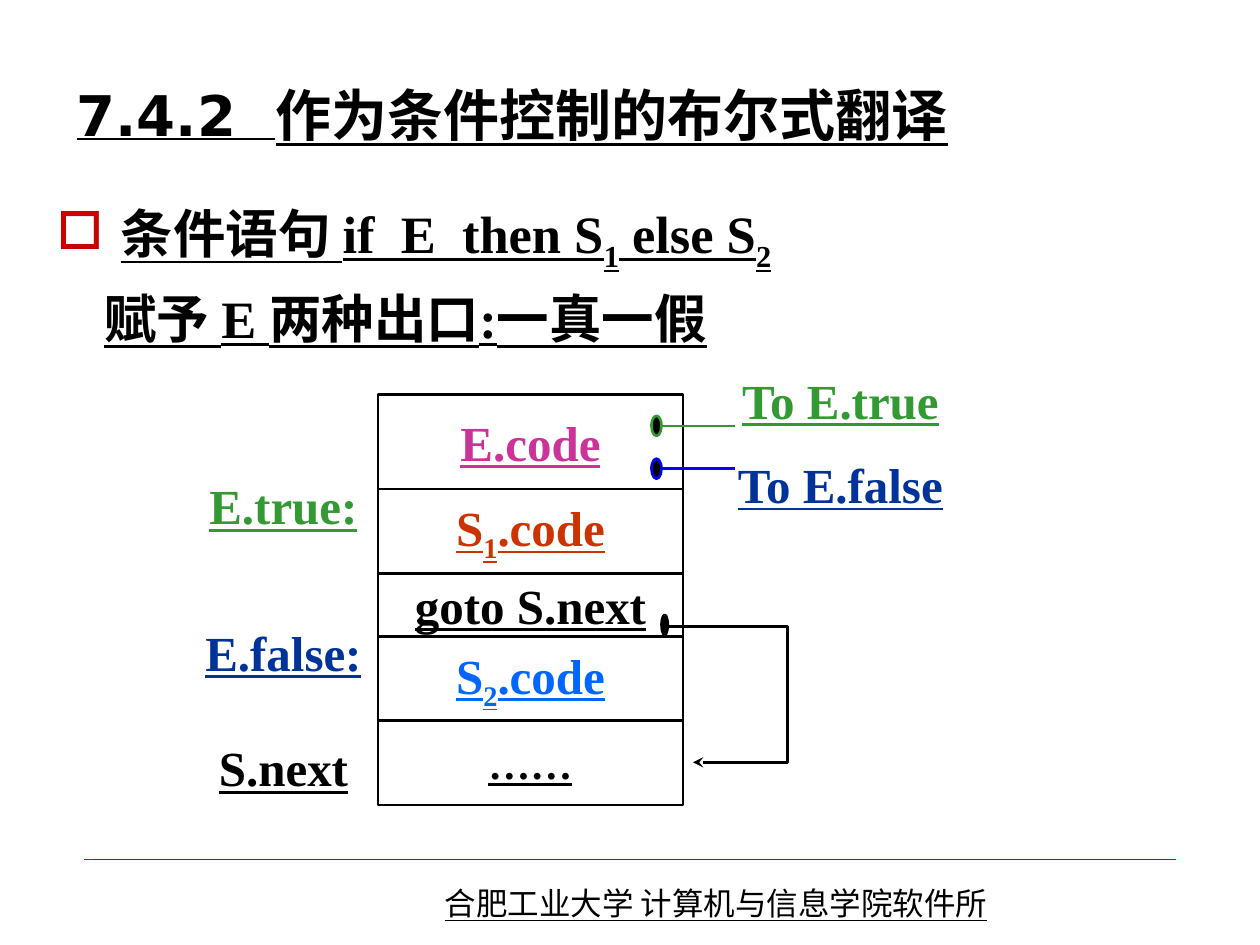
from lxml import etree
from pptx import Presentation
from pptx.dml.color import RGBColor
from pptx.enum.shapes import MSO_CONNECTOR, MSO_SHAPE
from pptx.enum.text import MSO_ANCHOR, MSO_AUTO_SIZE, PP_ALIGN
from pptx.oxml.ns import qn
from pptx.util import Inches, Pt

LINE = MSO_CONNECTOR.STRAIGHT
RECT, OVAL = MSO_SHAPE.RECTANGLE, MSO_SHAPE.OVAL
TOP, MID = MSO_ANCHOR.TOP, MSO_ANCHOR.MIDDLE
LEFT, CENTER, JUST = PP_ALIGN.LEFT, PP_ALIGN.CENTER, PP_ALIGN.JUSTIFY
FIXED = MSO_AUTO_SIZE.NONE

COLORS = {
    "black": "000000", "red": "CC0000", "pink": "CC3399", "rust": "CC3300",
    "sky": "0066FF", "green": "339933", "navy": "003399", "blue": "0000FF",
}


class Deck:
    """Holds the style and the current slide."""

    serif, sans, cjk = "Times New Roman", "DejaVu Sans", "Noto Sans CJK SC"

    def __init__(self, slide):
        self.slide = slide
        self.shapes = slide.shapes

    def color(self, name):
        return RGBColor.from_string(COLORS[name])

    def box(self, *area):
        return [Inches(v) for v in area]

    def stroke(self, shape, color, width=1.5):
        shape.line.color.rgb = self.color(color)
        shape.line.width = Pt(width)

    def frame(self, shape, anchor=MID, wrap=True):
        frame = shape.text_frame
        frame.word_wrap = wrap
        frame.auto_size = FIXED
        frame.vertical_anchor = anchor
        return frame

    def put(self, para, text, size, color="black", face=serif, bold=True, align=CENTER):
        for i, part in enumerate(text.split("_")):
            if part:
                run = para.add_run()
                run.text = part
                if i % 2:
                    run._r.get_or_add_rPr().set("baseline", "-25000")
        para.alignment = align
        font = para.font
        font.size, font.name = Pt(size), face
        font.bold, font.underline = bold, True
        font.color.rgb = self.color(color)

    def title(self, text, *area):
        shape = self.shapes.title
        shape.left, shape.top, shape.width, shape.height = self.box(*area)
        para = self.frame(shape).paragraphs[0]
        self.put(para, text, 32, face=self.sans, align=LEFT)

    def label(self, text, *area, color="black", size=28, **style):
        shape = self.shapes.add_textbox(*self.box(*area))
        para = self.frame(shape, wrap=False).paragraphs[0]
        self.put(para, text, size, color, **style)

    def body(self, lead, rest, *area):
        frame = self.frame(self.shapes.add_textbox(*self.box(*area)), TOP)
        first, second = frame.paragraphs[0], frame.add_paragraph()
        props = first._p.get_or_add_pPr()
        props.set("marL", str(Inches(0.51)))
        props.set("indent", str(-Inches(0.51)))
        tint = etree.SubElement(props, qn("a:buClr"))
        etree.SubElement(tint, qn("a:srgbClr"), val=COLORS["red"])
        etree.SubElement(props, qn("a:buChar"), char="□")
        second._p.get_or_add_pPr().set("marL", str(Inches(0.38)))
        second.space_before = Pt(7.6)
        for para, text in ((first, lead), (second, rest)):
            self.put(para, text, 30, align=JUST)

    def cell(self, text, *area, color="black", size=28):
        shape = self.shapes.add_shape(RECT, *self.box(*area))
        shape.shadow.inherit = False
        shape.fill.background()
        self.stroke(shape, color="black")
        para = self.frame(shape, wrap=False).paragraphs[0]
        self.put(para, text, size, color)

    def rule(self, x1, y1, x2, y2, color, width=1.5):
        line = self.shapes.add_connector(LINE, *self.box(x1, y1, x2, y2))
        self.stroke(line, color, width)
        etree.SubElement(line._element.spPr, qn("a:effectLst"))

    def dot(self, *area, color="black"):
        shape = self.shapes.add_shape(OVAL, *self.box(*area))
        shape.shadow.inherit = False
        shape.fill.solid()
        shape.fill.fore_color.rgb = self.color("black")
        self.stroke(shape, color)

    def route(self, points):
        start, *rest = [tuple(self.box(*point)) for point in points]
        pen = self.shapes.build_freeform(*start)
        pen.add_line_segments(rest, close=False)
        shape = pen.convert_to_shape()
        shape.shadow.inherit = False
        shape.fill.background()
        self.stroke(shape, "black")
        etree.SubElement(shape.line._get_or_add_ln(), qn("a:tailEnd"), type="stealth")


def main():
    prs = Presentation()
    prs.slide_width, prs.slide_height = Inches(10), Inches(7.5)
    deck = Deck(prs.slides.add_slide(prs.slide_layouts[5]))

    deck.rule(0.67, 6.82, 9.33, 6.82, "red", 0.25)
    deck.label("合肥工业大学 计算机与信息学院软件所", 3.43, 6.97, 5.04, 0.4,
               size=18, face=deck.cjk, bold=False, align=LEFT)
    deck.title("7.4.2  作为条件控制的布尔式翻译", 0.51, 0.28, 8.67, 1.25)
    deck.body("条件语句 if  E  then S_1_ else S_2", "赋予 E 两种出口:一真一假",
              0.35, 1.55, 8.65, 1.42)

    top = 3.13
    for text, high, color, size in (
        ("E.code", 0.75, "pink", 28),
        ("S_1_.code", 0.67, "rust", 28),
        ("goto S.next", 0.5, "black", 28),
        ("S_2_.code", 0.67, "sky", 28),
        ("……", 0.67, "black", 24),
    ):
        deck.cell(text, 3, top, 2.42, high, color=color, size=size)
        top += high

    for y, color in ((3.38, "green"), (3.72, "blue")):
        deck.rule(5.25, y, 5.83, y, color)
        deck.dot(5.17, y - 0.08, 0.08, 0.16, color=color)
    deck.route([(5.3, 4.97), (6.25, 4.97), (6.25, 6.05), (5.5, 6.05)])
    deck.dot(5.25, 4.88, 0.05, 0.16)

    for text, x, y, color in (
        ("To E.true", 5.92, 2.88, "green"),
        ("To E.false", 5.92, 3.55, "navy"),
        ("E.true:", 1.5, 3.72, "green"),
        ("E.false:", 1.5, 4.88, "navy"),
        ("S.next", 1.5, 5.8, "black"),
    ):
        deck.label(text, x, y, 1.5, 0.58, color=color)

    prs.save("out.pptx")


if __name__ == "__main__":
    main()
